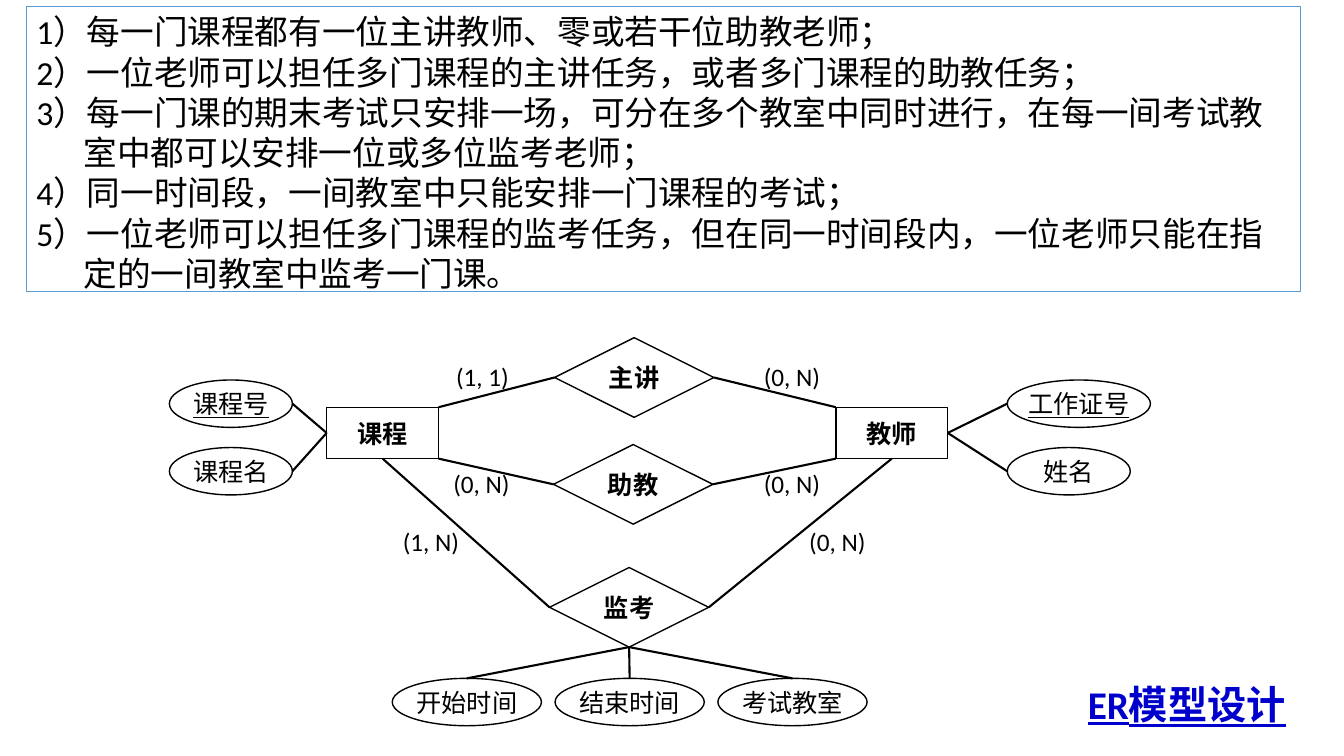
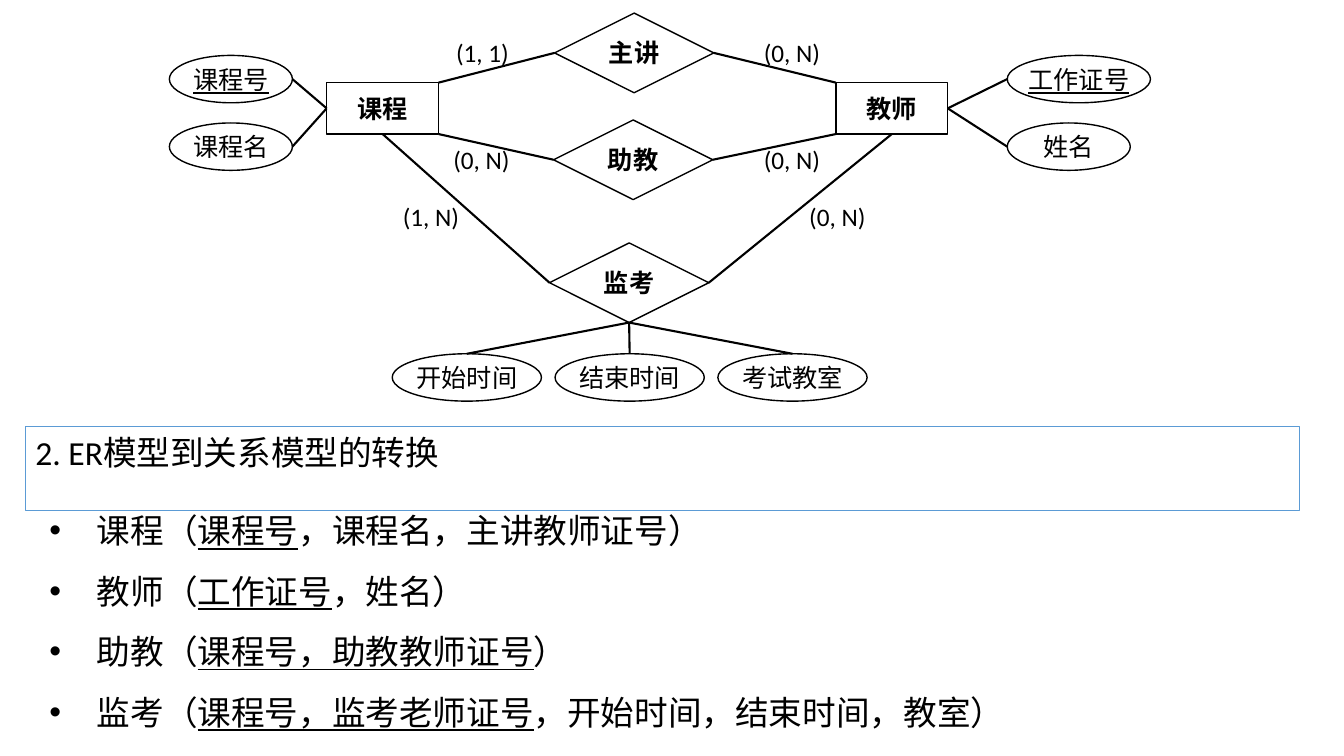
from pptx import Presentation
from pptx.dml.color import RGBColor
from pptx.enum.shapes import MSO_CONNECTOR as Connector, MSO_SHAPE as Shape
from pptx.enum.text import MSO_ANCHOR as Anchor, MSO_AUTO_SIZE as AutoSize, PP_ALIGN as Align
from pptx.oxml.ns import qn
from pptx.util import Inches, Pt
from lxml import etree

BLACK = RGBColor(0x00, 0x00, 0x00)
BLUE = RGBColor(0x5B, 0x9B, 0xD5)
LINK_BLUE = RGBColor(0x00, 0x00, 0xCC)
FONT = "Calibri"

LEFT, RIGHT, TOP, BOTTOM = (0, 0.5), (1, 0.5), (0.5, 0), (0.5, 1)
TOP_LEFT, TOP_RIGHT, BOTTOM_LEFT, BOTTOM_RIGHT = (0, 0), (1, 0), (0, 1), (1, 1)

ENTITIES = [("课程", 3.24), ("教师", 8.29)]
RELATIONSHIPS = [("主讲", 5.5, 0.13), ("助教", 5.49, 1.19), ("监考", 5.45, 2.41)]
ATTRIBUTES = [
    ("课程号", 1.68, 0.55, 1.22),
    ("课程名", 1.68, 1.22, 1.22),
    ("工作证号", 9.99, 0.55, 1.42),
    ("姓名", 9.99, 1.22, 1.22),
]
EXAM_DETAILS = ["开始时间", "结束时间", "考试教室"]
KEYS = ["课程号", "工作证号"]
LINKS = [
    ("课程号", RIGHT, "课程", LEFT),
    ("课程名", RIGHT, "课程", LEFT),
    ("工作证号", LEFT, "教师", RIGHT),
    ("姓名", LEFT, "教师", RIGHT),
    ("课程", TOP_RIGHT, "主讲", LEFT),
    ("教师", TOP_LEFT, "主讲", RIGHT),
    ("课程", BOTTOM_RIGHT, "助教", LEFT),
    ("教师", BOTTOM_LEFT, "助教", RIGHT),
    ("课程", BOTTOM, "监考", LEFT),
    ("教师", BOTTOM, "监考", RIGHT),
] + [("监考", BOTTOM, detail, TOP) for detail in EXAM_DETAILS]
CARDINALITIES = [
    ("(1, 1)", 4.35, 0.32), ("(0, N)", 7.42, 0.32),
    ("(0, N)", 4.34, 1.38), ("(0, N)", 7.42, 1.38),
    ("(1, N)", 3.84, 1.95), ("(0, N)", 7.87, 1.95),
]
RULES = [
    "1）每一门课程都有一位主讲教师、零或若干位助教老师；",
    "2）一位老师可以担任多门课程的主讲任务，或者多门课程的助教任务；",
    "3）每一门课的期末考试只安排一场，可分在多个教室中同时进行，在每一间考试教室中都可以安排一位或多位监考老师；",
    "4）同一时间段，一间教室中只能安排一门课程的考试；",
    "5）一位老师可以担任多门课程的监考任务，但在同一时间段内，一位老师只能在指定的一间教室中监考一门课。",
]
RELATIONS = [
    ("课程（", "课程号", "，课程名，主讲教师证号）"),
    ("教师（", "工作证号", "，姓名）"),
    ("助教（", "课程号，助教教师证号", "）"),
    ("监考（", "课程号，监考老师证号", "，开始时间，结束时间，教室）"),
]


def format_text(shape, size, align, color=BLACK, bold=False, underline=False):
    for paragraph in shape.text_frame.paragraphs:
        paragraph.alignment = align
        for run in paragraph.runs:
            run.font.name = FONT
            run.font.size = Pt(size)
            run.font.color.rgb = color
            run.font.bold = bold
            run.font.underline = underline


def place_text(shape, left, top, width, height):
    shape.left, shape.top = Inches(left), Inches(top)
    shape.width, shape.height = Inches(width), Inches(height)
    frame = shape.text_frame
    frame.word_wrap = True
    frame.auto_size = AutoSize.SHAPE_TO_FIT_TEXT
    frame.vertical_anchor = Anchor.TOP
    for paragraph in frame.paragraphs:
        paragraph.space_before = Pt(0)


prs = Presentation()
prs.slide_width = Inches(13.33)
prs.slide_height = Inches(7.5)
design, conversion = [prs.slides.add_slide(prs.slide_layouts[1]) for _ in range(2)]

nodes = [(Shape.RECTANGLE, name, left, 0.82, 1.11, 0.51) for name, left in ENTITIES]
nodes += [(Shape.DIAMOND, name, left, top, 1.58, 0.79) for name, left, top in RELATIONSHIPS]
nodes += [(Shape.OVAL, name, left, top, width, 0.47) for name, left, top, width in ATTRIBUTES]
nodes += [
    (Shape.OVAL, name, 3.89 + 1.615 * column, 3.51, 1.48, 0.47)
    for column, name in enumerate(EXAM_DETAILS)
]
boxes = {name: box for _, name, *box in nodes}

for slide, diagram_top in [(design, 3.22), (conversion, 0)]:
    for outline, name, left, top, width, height in nodes:
        node = slide.shapes.add_shape(
            outline, Inches(left), Inches(top + diagram_top), Inches(width), Inches(height)
        )
        node.shadow.inherit = False
        node.fill.background()
        node.line.color.rgb = BLACK
        node.line.width = Pt(1)
        frame = node.text_frame
        frame.text = name
        frame.vertical_anchor = Anchor.MIDDLE
        if outline == Shape.OVAL:
            frame.margin_left = frame.margin_right = 0
            frame.margin_top = frame.margin_bottom = 0
        format_text(node, 18, Align.CENTER, bold=outline != Shape.OVAL, underline=name in KEYS)

    for start, start_side, end, end_side in LINKS:
        ends = []
        for name, (across, down) in [(start, start_side), (end, end_side)]:
            left, top, width, height = boxes[name]
            ends += [Inches(left + across * width), Inches(top + down * height + diagram_top)]
        link = slide.shapes.add_connector(Connector.STRAIGHT, *ends)
        link.line.color.rgb = BLACK
        link.line.width = Pt(1.5)
        etree.SubElement(link._element.spPr, qn("a:effectLst"))

    for cardinality, left, top in CARDINALITIES:
        label = slide.shapes.add_textbox(
            Inches(left), Inches(top + diagram_top), Inches(0.87), Inches(0.4)
        )
        label.text_frame.word_wrap = True
        label.text_frame.text = cardinality
        format_text(label, 18, Align.CENTER)

heading = design.shapes.title
heading.text_frame.text = "ER模型设计"
place_text(heading, 10.48, 6.7, 2.58, 0.57)
format_text(heading, 28, Align.CENTER, LINK_BLUE, bold=True, underline=True)

requirements = design.placeholders[1]
requirements.text_frame.text = "\n".join(RULES)
place_text(requirements, 0.26, 0.06, 12.64, 2.93)
format_text(requirements, 24, Align.LEFT)

step = conversion.shapes.title
step.text_frame.text = "2. ER模型到关系模型的转换"
place_text(step, 0.25, 4.23, 12.64, 0.5)
format_text(step, 24, Align.LEFT)

schema = conversion.placeholders[1]
schema.text_frame.text = "\n".join("".join(relation) for relation in RELATIONS)
place_text(schema, 0.39, 4.81, 12.64, 2.53)
for paragraph, relation in zip(schema.text_frame.paragraphs, RELATIONS):
    paragraph.line_spacing = 1.5
    paragraph.runs[0].text = relation[0]
    for part in relation[1:]:
        paragraph.add_run().text = part
format_text(schema, 24, Align.LEFT)
for paragraph in schema.text_frame.paragraphs:
    paragraph.runs[1].font.underline = True

for framed in (requirements, step):
    framed.line.color.rgb = BLUE
    framed.line.width = Pt(0.75)

for listing in (requirements, schema):
    for paragraph in listing.text_frame.paragraphs:
        properties = paragraph._p.get_or_add_pPr()
        properties.set("marL", str(Inches(0.47)))
        properties.set("indent", str(-Inches(0.47)))
        if listing is requirements:
            etree.SubElement(properties, qn("a:buNone"))
        else:
            etree.SubElement(properties, qn("a:buFont"), typeface="Arial")
            etree.SubElement(properties, qn("a:buChar"), char="•")

prs.save("out.pptx")
